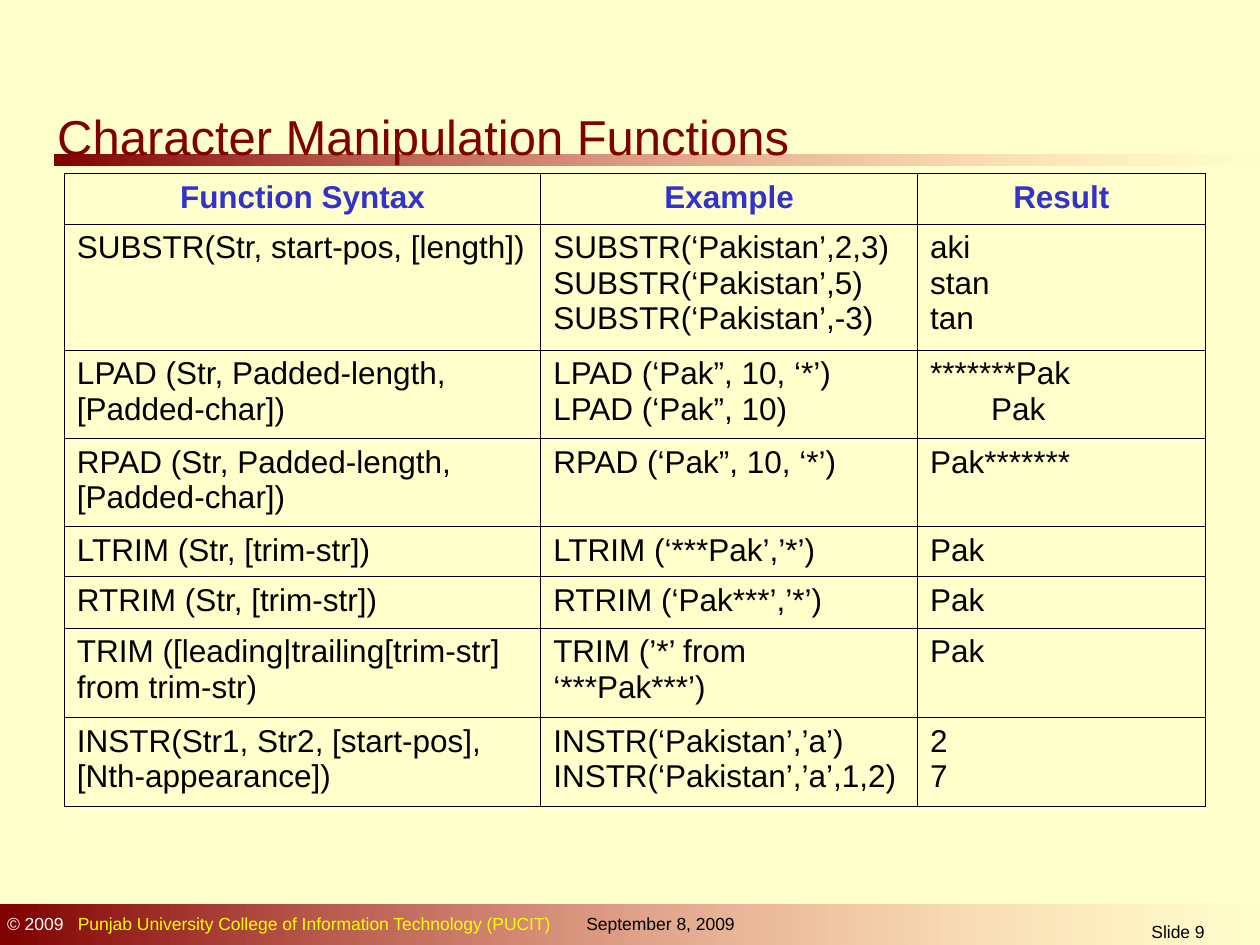
from lxml import etree
from pptx import Presentation
from pptx.dml.color import RGBColor
from pptx.enum import shapes, text
from pptx.oxml.ns import qn
from pptx.util import Pt


def rgb(value):
    return RGBColor.from_string(value)


def write(p, content, size=18, color="000000", bold=False, align=text.PP_ALIGN.LEFT):
    p.alignment = align
    r = p.add_run()
    r.text = content
    r.font.name = "Arial"
    r.font.size = Pt(size)
    r.font.bold = bold
    r.font.color.rgb = rgb(color)


CENTER = text.PP_ALIGN.CENTER

prs = Presentation()
prs.slide_width, prs.slide_height = Pt(720), Pt(540)
s = prs.slides.add_slide(prs.slide_layouts[5])
s.background.fill.solid()
s.background.fill.fore_color.rgb = rgb("FFFFCC")

# Title rule and footer band, fading out to the right
for left, top, width, height in [(31, 88.5, 689, 6), (0, 517, 722, 25)]:
    sp = s.shapes.add_shape(shapes.MSO_SHAPE.RECTANGLE, Pt(left), Pt(top), Pt(width), Pt(height))
    sp.shadow.inherit = False
    sp.line.fill.background()
    sp.fill.gradient()
    sp.fill.gradient_angle = 0
    for stop, position, color in zip(sp.fill.gradient_stops, (0, 1), ("800000", "FF8585")):
        stop.position = position
        stop.color.rgb = rgb(color)
    end_color = list(sp._element.spPr.iter(qn("a:srgbClr")))[-1]
    etree.SubElement(end_color, qn("a:alpha"), val="0")

# Footer: copyright, date, slide number
footer = []
for left, top, width in [(-3, 518.4, 330), (328, 518.4, 111), (626.4, 522.7, 93.6)]:
    tf = s.shapes.add_textbox(Pt(left), Pt(top), Pt(width), Pt(19)).text_frame
    tf.word_wrap = True
    footer.append(tf.paragraphs[0])
owner, date, number = footer
tabs = etree.SubElement(owner._p.get_or_add_pPr(), qn("a:tabLst"))
etree.SubElement(tabs, qn("a:tab"), pos=str(Pt(40.4)), algn="l")
write(owner, "© 2009", size=10, color="FFFFFF")
write(owner, "\tPunjab University College of Information Technology (PUCIT)", size=10, color="FFFF00")
write(date, "September 8, 2009", size=10)
write(number, "Slide 9", size=10, align=CENTER)

# Title, brought in front of the rule
title = s.shapes.title
title.left, title.top, title.width, title.height = Pt(25.5), Pt(55), Pt(435.5), Pt(33.5)
s.shapes._spTree.append(title._element)
tf = title.text_frame
tf.auto_size = text.MSO_AUTO_SIZE.NONE
tf.vertical_anchor = text.MSO_ANCHOR.TOP
tf.margin_top = Pt(6)
write(tf.paragraphs[0], "Character Manipulation Functions", size=28, color="800000")

# Function table: row height, then one text per column
rows = [
    (28.8, "Function Syntax", "Example", "Result"),
    (72, "SUBSTR(Str, start-pos, [length])",
     "SUBSTR(‘Pakistan’,2,3)\nSUBSTR(‘Pakistan’,5)\nSUBSTR(‘Pakistan’,-3)", "aki\nstan\ntan"),
    (50.4, "LPAD (Str, Padded-length, [Padded-char])",
     "LPAD (‘Pak”, 10, ‘*’)\nLPAD (‘Pak”, 10)", "*******Pak\n       Pak"),
    (50.4, "RPAD (Str, Padded-length, [Padded-char])", "RPAD (‘Pak”, 10, ‘*’)", "Pak*******"),
    (28.8, "LTRIM (Str, [trim-str])", "LTRIM (‘***Pak’,’*’)", "Pak"),
    (29.2, "RTRIM (Str, [trim-str])", "RTRIM (‘Pak***’,’*’)", "Pak"),
    (51, "TRIM ([leading|trailing[trim-str] from trim-str)", "TRIM (’*’ from ‘***Pak***’)", "Pak"),
    (51, "INSTR(Str1, Str2, [start-pos], [Nth-appearance])",
     "INSTR(‘Pakistan’,’a’)\nINSTR(‘Pakistan’,’a’,1,2)", "2\n7"),
]
widths = [272.2, 215.3, 164.5]
table = s.shapes.add_table(len(rows), len(widths), Pt(36.8), Pt(99.2), Pt(sum(widths)),
                           Pt(sum(row[0] for row in rows))).table
table.first_row = table.horz_banding = False
for column, width in zip(table.columns, widths):
    column.width = Pt(width)

for i, (height, *cells) in enumerate(rows):
    table.rows[i].height = Pt(height)
    look = {} if i else {"color": "3333CC", "bold": True, "align": CENTER}
    for j, content in enumerate(cells):
        cell = table.cell(i, j)
        tf = cell.text_frame
        for k, line in enumerate(content.split("\n")):
            p = tf.add_paragraph() if k else tf.paragraphs[0]
            write(p, line, **look)
        # Thin black borders come before the fill in the cell properties
        tcPr = cell._tc.get_or_add_tcPr()
        for side in ("lnL", "lnR", "lnT", "lnB"):
            ln = etree.SubElement(tcPr, qn("a:" + side), w=str(Pt(0.45)))
            fill = etree.SubElement(ln, qn("a:solidFill"))
            etree.SubElement(fill, qn("a:srgbClr"), val="000000")
        cell.fill.background()

prs.save("out.pptx")
